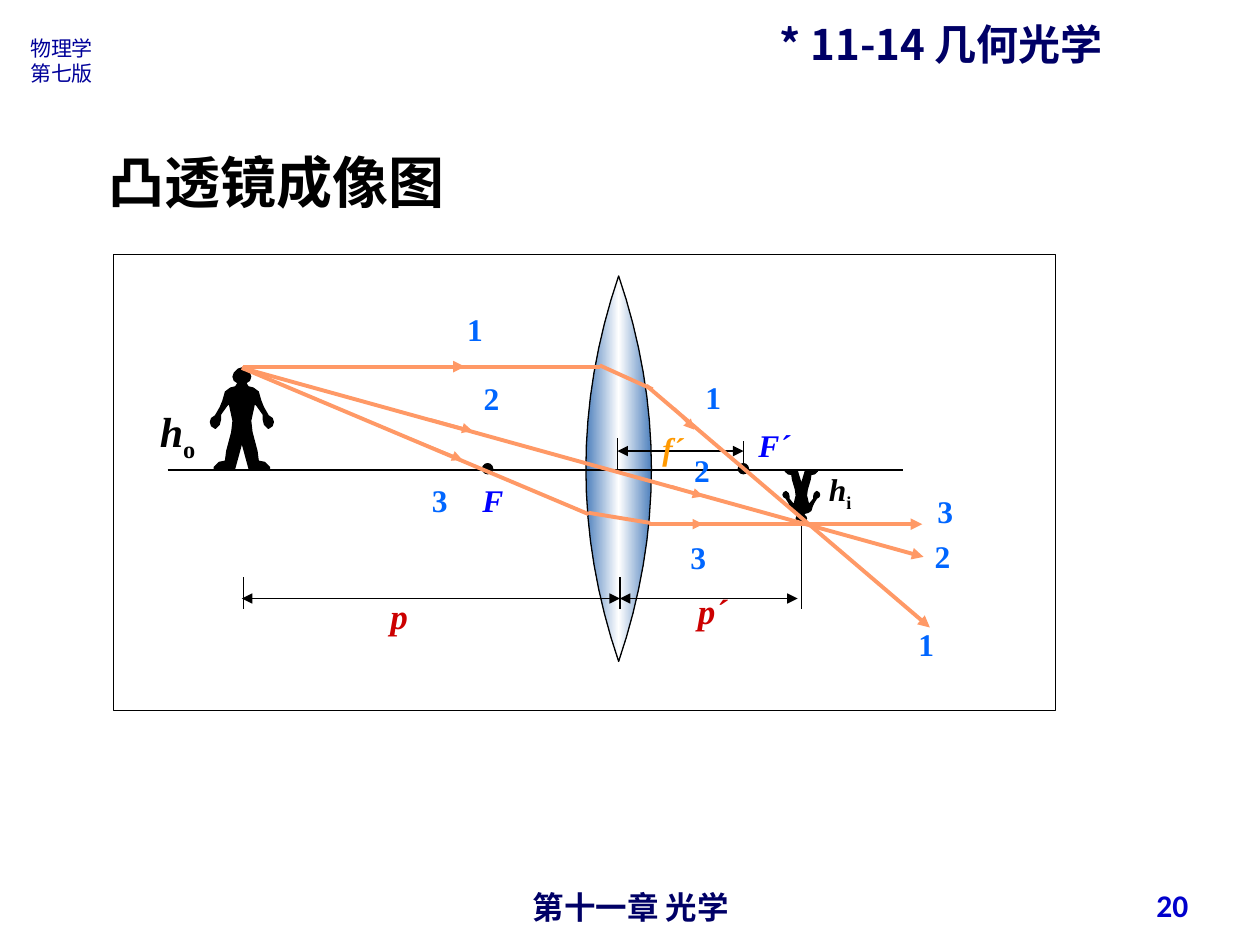
from copy import deepcopy

from lxml import etree
from pptx import Presentation
from pptx.dml.color import RGBColor
from pptx.enum import shapes, text
from pptx.oxml.ns import qn
from pptx.util import Inches, Pt

BLACK = RGBColor(0x00, 0x00, 0x00)
WHITE = RGBColor(0xFF, 0xFF, 0xFF)
NAVY = RGBColor(0x00, 0x00, 0x66)
DARK_BLUE = RGBColor(0x00, 0x00, 0x99)
PAGE_BLUE = RGBColor(0x00, 0x00, 0xCC)
FOCUS_BLUE = RGBColor(0x00, 0x00, 0xFF)
RAY_BLUE = RGBColor(0x00, 0x66, 0xFF)
LENS_BLUE = RGBColor(0x4F, 0x81, 0xBD)
RED = RGBColor(0xCC, 0x00, 0x00)
AMBER = RGBColor(0xFF, 0x99, 0x00)
ORANGE = RGBColor(0xFF, 0x99, 0x66)

CJK = "Noto Sans CJK SC"
SERIF = "Times New Roman"
LEFT, CENTER, RIGHT = text.PP_ALIGN.LEFT, text.PP_ALIGN.CENTER, text.PP_ALIGN.RIGHT

TITLE = ("凸透镜成像图", (0.76, 1.12, 2.87, 0.64), 32, "Arial", BLACK, LEFT)
# text, box, size, font, colour, alignment
PAGE_TEXTS = [
    ("第十一章 光学", (3.42, 7, 3.17, 0.29), 18, "Arial", NAVY, CENTER),
    ("* 11-14 几何光学", (6.09, 0.1, 3.28, 0.9), 24, CJK, NAVY, LEFT),
    ("20", (7.2, 6.98, 2.33, 0.4), 18, "Calibri", PAGE_BLUE, RIGHT),
]
EDITION = ("物理学\n第七版", (0.14, 0.23, 0.72, 0.5), 12, CJK, DARK_BLUE, LEFT)

# symbol, subscript, box, size, colour
SYMBOLS = [
    ("h", "o", (1.17, 3.17, 0.48, 0.56), 24, BLACK),
    ("h", "i", (6.48, 3.68, 0.38, 0.44), 18, BLACK),
    ("p", "", (3, 4.67, 0.34, 0.44), 20, RED),
    ("p´", "", (5.44, 4.63, 0.43, 0.44), 20, RED),
    ("F", "", (3.73, 3.77, 0.36, 0.4), 18, FOCUS_BLUE),
    ("F´", "", (5.92, 3.33, 0.45, 0.4), 18, FOCUS_BLUE),
    ("f´", "", (5.16, 3.36, 0.47, 0.4), 18, AMBER),
]
RAY_NUMBERS = {
    "1": [(3.61, 2.41), (5.5, 2.95), (7.19, 4.91)],
    "2": [(3.74, 2.96), (5.41, 3.53), (7.32, 4.21)],
    "3": [(3.33, 3.77), (5.38, 4.22), (7.34, 3.86)],
}

AXIS_Y = 3.73
AXIS = (1.33, AXIS_Y, 7.17, AXIS_Y)
FOCI_X = (3.87, 5.9)
DOT = 0.08
LENS_X, LENS_Y, LENS_HALF_W, LENS_HALF_H = 4.91, 3.72, 0.26, 1.53
FRAME = (0.9, 2.02, 7.48, 3.62)

# Right half of the figure: distance from the middle, height above the feet
FIGURE_HALF = [
    (0, 0.81), (0.03, 0.8), (0.06, 0.77), (0.07, 0.74), (0.06, 0.71), (0.03, 0.69),
    (0.05, 0.66), (0.09, 0.65), (0.13, 0.62), (0.15, 0.55), (0.17, 0.5), (0.21, 0.43),
    (0.24, 0.41), (0.25, 0.38), (0.24, 0.35), (0.21, 0.33), (0.18, 0.36), (0.17, 0.4),
    (0.17, 0.44), (0.12, 0.51), (0.1, 0.53), (0.07, 0.39), (0.08, 0.3), (0.12, 0.15),
    (0.13, 0.07), (0.18, 0.06), (0.22, 0.02), (0.22, 0), (0.06, 0), (0, 0.22),
]
# middle x, horizontal scale, vertical scale (negative is inverted)
FIGURES = [(1.92, 1, 1), (6.36, 0.58, -0.52)]

TICKS = [(1.93, 4.58, 1.93, 4.83), (6.36, 4.17, 6.36, 4.83), (4.92, 4.58, 4.92, 4.83),
         (4.9, 3.48, 4.9, 3.73), (5.9, 3.5, 5.9, 3.75)]
DIMENSIONS = [(1.92, 4.75, 4.92, 4.75), (4.92, 4.75, 6.33, 4.75), (4.9, 3.58, 5.9, 3.58)]
RAY_PARTS = [(4.76, 2.9, 5.18, 3.09), (1.93, 2.91, 4.76, 2.91),
             (1.92, 2.92, 4.67, 4.08), (4.67, 4.07, 5.16, 4.15)]
RAY_ENDS = [(5.13, 3.06, 7.38, 4.98), (3.36, 2.91, 3.69, 2.91),
            (1.92, 2.92, 7.33, 4.42), (5.15, 4.16, 7.32, 4.16)]
RAY_MARKS = [(5.35, 3.24, 5.51, 3.41), (3.42, 3.33, 3.75, 3.42), (5.33, 3.86, 5.58, 3.94),
             (3.25, 3.48, 3.67, 3.65), (5.42, 4.16, 5.58, 4.16)]

prs = Presentation()
prs.slide_width, prs.slide_height = Inches(10), Inches(7.5)
s = prs.slides.add_slide(prs.slide_layouts[5])


def inches(values):
    return [Inches(v) for v in values]


def set_font(p, size, name, color, bold=True, italic=False):
    f = p.font
    f.size, f.name, f.bold, f.italic = Pt(size), name, bold, italic
    f.color.rgb = color
    etree.SubElement(f._element, qn("a:ea")).set("typeface", CJK)


def add_box(box, wrap):
    sp = s.shapes.add_textbox(*inches(box))
    sp.text_frame.word_wrap = wrap
    return sp


def write(sp, words, size, font, color, align, bold=True):
    sp.text_frame.text = words
    for p in sp.text_frame.paragraphs:
        p.alignment = align
        set_font(p, size, font, color, bold)


def add_symbol(symbol, sub, box, size, color, italic=True):
    p = add_box(box, False).text_frame.paragraphs[0]
    p.add_run().text = symbol
    set_font(p, size, SERIF, color, italic=italic)
    if sub:
        r = p.add_run()
        r.text = sub
        r.font.italic = False
        r.font._element.set("baseline", "-25000")


def outline(sp, fill=None):
    """Thin black edge, with a solid fill or none."""
    sp.shadow.inherit = False
    sp.line.color.rgb, sp.line.width = BLACK, Pt(0.75)
    if fill is None:
        sp.fill.background()
    else:
        sp.fill.solid()
        sp.fill.fore_color.rgb = fill


def add_polygon(points, fill=None):
    start, *rest = [inches(point) for point in points]
    fb = s.shapes.build_freeform(*start)
    fb.add_line_segments(rest, close=True)
    sp = fb.convert_to_shape()
    outline(sp, fill)
    return sp


def add_lines(lines, color=BLACK, width=0.75, arrows=()):
    for line in lines:
        c = s.shapes.add_connector(shapes.MSO_CONNECTOR.STRAIGHT, *inches(line))
        c.line.color.rgb, c.line.width = color, Pt(width)
        ln = c.line._get_or_add_ln()
        for end in arrows:
            etree.SubElement(ln, qn("a:" + end)).set("type", "triangle")
        etree.SubElement(c._element.spPr, qn("a:effectLst"))


def add_lens():
    steps = [i / 8 for i in range(-8, 9)]
    edge = [(LENS_HALF_W * (1 - t * t), LENS_Y + LENS_HALF_H * t) for t in steps]
    sp = add_polygon([(LENS_X - w, y) for w, y in edge]
                     + [(LENS_X + w, y) for w, y in edge[-2:0:-1]])
    sp.fill.gradient()
    sp.fill.gradient_angle = 0
    stops = sp._element.spPr.find(qn("a:gradFill")).find(qn("a:gsLst"))
    stops.insert(1, deepcopy(stops[0]))
    for stop, pos, color in zip(sp.fill.gradient_stops, (0, 0.5, 1),
                                (LENS_BLUE, WHITE, LENS_BLUE)):
        stop.position, stop.color.rgb = pos, color


title = s.shapes.title
title.left, title.top, title.width, title.height = inches(TITLE[1])
title.text_frame.word_wrap = False
title.text_frame.auto_size = text.MSO_AUTO_SIZE.NONE
title.text_frame.vertical_anchor = text.MSO_ANCHOR.TOP
write(title, TITLE[0], *TITLE[2:])
for words, box, *style in PAGE_TEXTS:
    write(add_box(box, True), words, *style)
write(add_box(EDITION[1], True), EDITION[0], *EDITION[2:], bold=False)

add_lens()
add_lines([AXIS])
for x in FOCI_X:
    outline(s.shapes.add_shape(shapes.MSO_SHAPE.OVAL, *inches(
        (x - DOT / 2, AXIS_Y - 0.05, DOT, DOT))), BLACK)
body = FIGURE_HALF + [(-dx, h) for dx, h in FIGURE_HALF[-2:0:-1]]
for x, sx, sy in FIGURES:
    add_polygon([(x + dx * sx, AXIS_Y - h * sy) for dx, h in body], BLACK)

add_lines(TICKS)
add_lines(DIMENSIONS, arrows=("headEnd", "tailEnd"))
for symbol in SYMBOLS:
    add_symbol(*symbol)
add_lines(RAY_PARTS, ORANGE, 2.25)
add_lines(RAY_ENDS, ORANGE, 2.25, ("tailEnd",))
add_lines(RAY_MARKS, ORANGE, 1.5, ("tailEnd",))
for number, places in RAY_NUMBERS.items():
    for x, y in places:
        add_symbol(number, "", (x, y, 0.32, 0.4), 18, RAY_BLUE, italic=False)
outline(s.shapes.add_shape(shapes.MSO_SHAPE.RECTANGLE, *inches(FRAME)))

prs.save("out.pptx")
